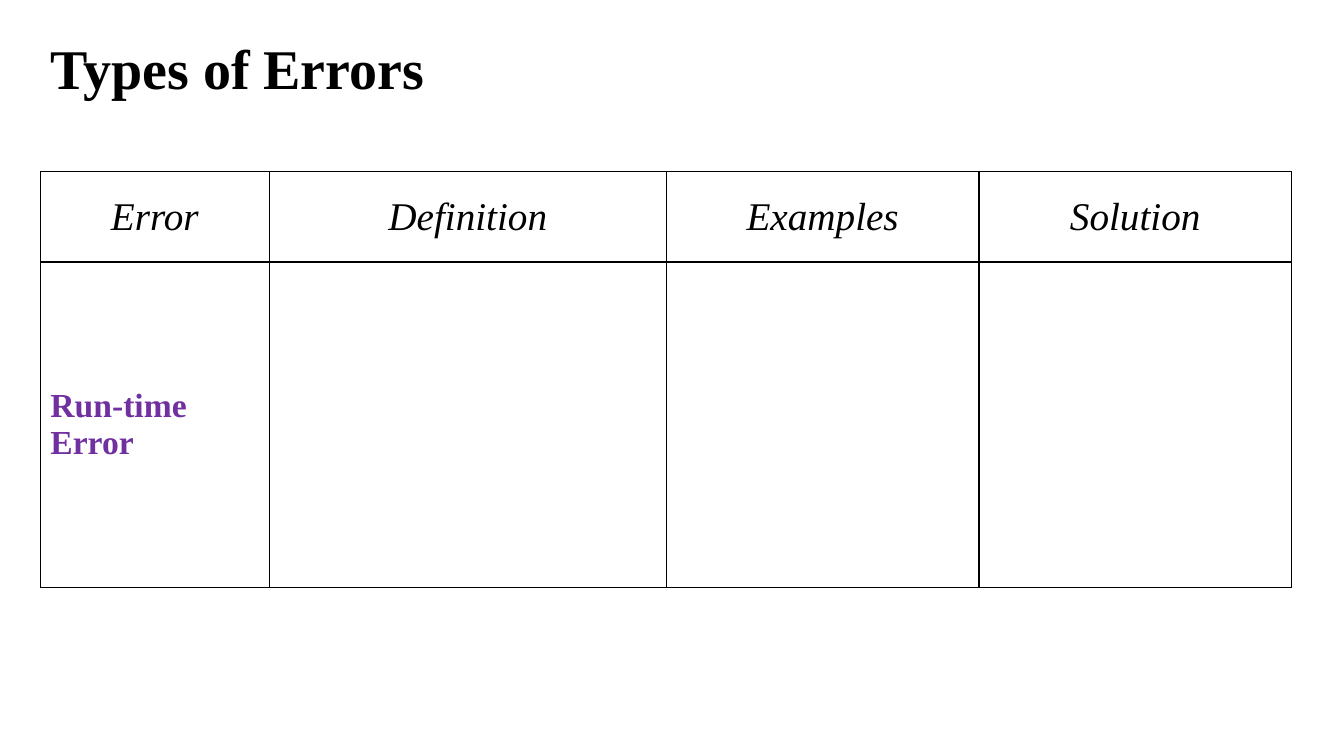
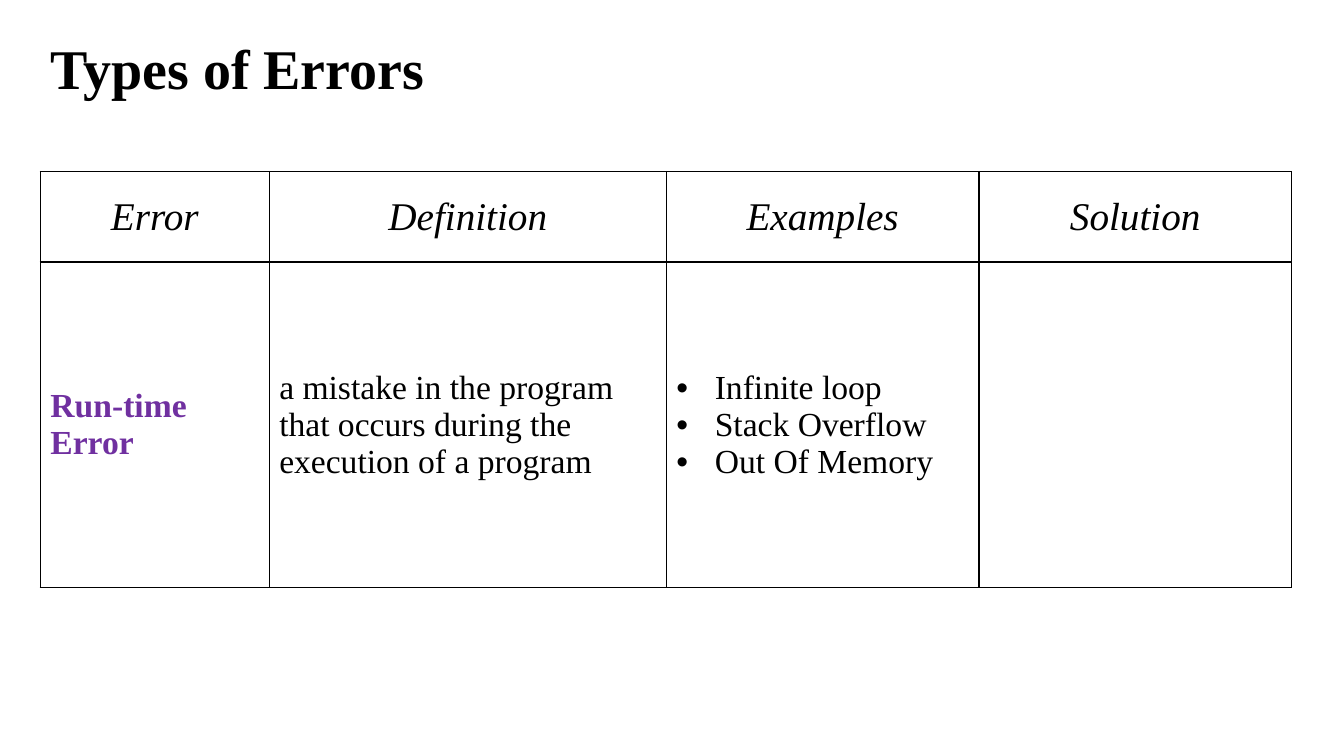
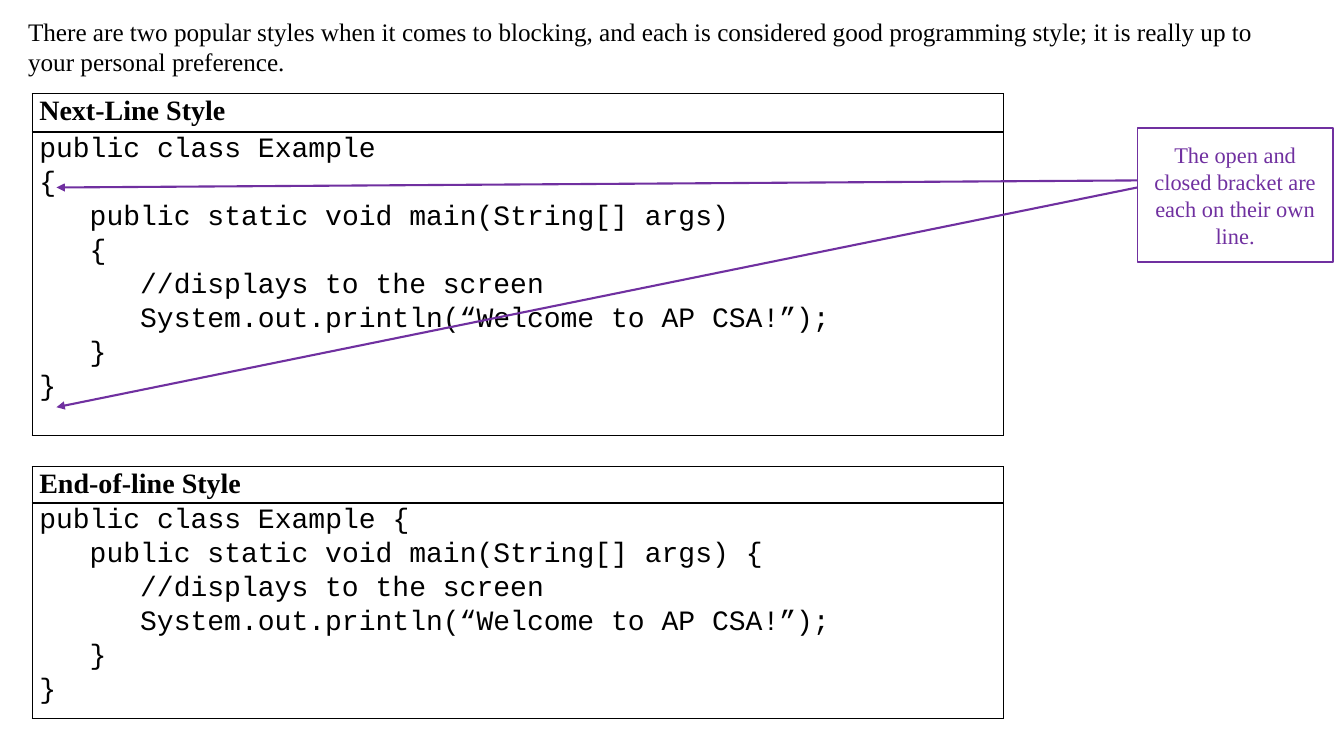
from lxml.etree import SubElement
from pptx import Presentation
from pptx.dml.color import RGBColor
from pptx.enum.shapes import MSO_CONNECTOR, MSO_SHAPE
from pptx.enum.text import MSO_ANCHOR, MSO_AUTO_SIZE, PP_ALIGN
from pptx.oxml.ns import qn
from pptx.util import Inches, Pt

# Shared style
BLACK, PURPLE = "000000", "7030A0"
SERIF, MONO = "Times New Roman", "Courier New"
INDENT = 0.5

# Shared content
HEADERS = ["Error", "Definition", "Examples", "Solution"]
DEFINITION = "a mistake in the program that occurs during the execution of a program"
EXAMPLES = ["Infinite loop", "Stack Overflow", "Out Of Memory"]

# Code lines as (indent level, text)
BODY = [(2, "//displays to the screen"),
        (2, "System.out.println(“Welcome to AP CSA!”);"),
        (1, "}"), (0, "}")]
NEXT_LINE = [(0, "public class Example"), (0, "{"),
             (1, "public static void main(String[] args)"), (1, "{")] + BODY
END_OF_LINE = [(0, "public class Example {"),
               (1, "public static void main(String[] args) {")] + BODY


def rgb(value):
    return RGBColor.from_string(value)


def write(tf, lines, size, color=BLACK, font=SERIF, bold=False, italic=False,
          align=PP_ALIGN.LEFT, spacing=None):
    tf.text = "\n".join(lines)
    for p in tf.paragraphs:
        p.alignment = align
        if spacing:
            p.line_spacing = spacing
        for r in p.runs:
            r.font.name, r.font.size = font, Pt(size)
            r.font.bold, r.font.italic = bold, italic
            r.font.color.rgb = rgb(color)


def set_indent(p, left, first=0):
    pPr = p._p.get_or_add_pPr()
    pPr.set("marL", str(Inches(left)))
    pPr.set("indent", str(Inches(first)))
    return pPr


def add_bullets(tf):
    for p in tf.paragraphs:
        pPr = set_indent(p, 0.38, -0.38)
        SubElement(pPr, qn("a:buFont"), typeface="Arial")
        SubElement(pPr, qn("a:buChar"), char="•")


def add_text(s, x, y, w, h, text, size, bold=False):
    tf = s.shapes.add_textbox(Inches(x), Inches(y), Inches(w), Inches(h)).text_frame
    tf.word_wrap = True
    tf.auto_size = MSO_AUTO_SIZE.SHAPE_TO_FIT_TEXT
    write(tf, [text], size, bold=bold)


def add_grid(s, x, y, widths, heights):
    """Unfilled table with thin black borders on every cell."""
    table = s.shapes.add_table(len(heights), len(widths), Inches(x), Inches(y),
                               Inches(sum(widths)), Inches(sum(heights))).table
    table.first_row = table.horz_banding = False
    for col, w in zip(table.columns, widths):
        col.width = Inches(w)
    for row, h in zip(table.rows, heights):
        row.height = Inches(h)
    for cell in table.iter_cells():
        tcPr = cell._tc.get_or_add_tcPr()
        for side in ("lnL", "lnR", "lnT", "lnB"):
            ln = SubElement(tcPr, qn(f"a:{side}"), w=str(Pt(1)))
            fill = SubElement(ln, qn("a:solidFill"))
            SubElement(fill, qn("a:srgbClr"), val=BLACK)
        cell.fill.background()
    return table


def add_code_panel(s, y, heights, heading, code):
    table = add_grid(s, 0.32, y, [9.63], heights)
    for cell in table.iter_cells():
        cell.margin_left = cell.margin_right = Inches(0.07)
        cell.margin_top = cell.margin_bottom = 0
    write(table.cell(0, 0).text_frame, [heading], 20, bold=True, spacing=1.07)
    tf = table.cell(1, 0).text_frame
    write(tf, [text for _, text in code], 20, font=MONO, spacing=1.07)
    for p, (level, _) in zip(tf.paragraphs, code):
        set_indent(p, level * INDENT)


def add_arrow(s, x1, y1, x2, y2):
    c = s.shapes.add_connector(MSO_CONNECTOR.STRAIGHT, Inches(x1), Inches(y1),
                               Inches(x2), Inches(y2))
    c.line.color.rgb = rgb(PURPLE)
    c.line.width = Pt(1.5)
    SubElement(c.line._get_or_add_ln(), qn("a:tailEnd"), type="triangle")
    SubElement(c._element.spPr, qn("a:effectLst"))


def add_callout(s, x, y, w, h, text):
    sp = s.shapes.add_shape(MSO_SHAPE.RECTANGLE, Inches(x), Inches(y),
                            Inches(w), Inches(h))
    sp.shadow.inherit = False
    sp.fill.background()
    sp.line.color.rgb = rgb(PURPLE)
    sp.line.width = Pt(1)
    tf = sp.text_frame
    tf.word_wrap = True
    tf.vertical_anchor = MSO_ANCHOR.MIDDLE
    write(tf, [text], 16, PURPLE, align=PP_ALIGN.CENTER)


def add_errors_slide(prs, answered):
    s = prs.slides.add_slide(prs.slide_layouts[6])
    add_text(s, 0.4, 0.28, 6.67, 0.77, "Types of Errors", 40, bold=True)
    table = add_grid(s, 0.4, 1.7, [2.27, 3.94, 3.1, 3.1], [0.9, 3.23])
    for cell in table.iter_cells():
        cell.vertical_anchor = MSO_ANCHOR.MIDDLE
    for i, header in enumerate(HEADERS):
        write(table.cell(0, i).text_frame, [header], 28, italic=True,
              align=PP_ALIGN.CENTER)
    write(table.cell(1, 0).text_frame, ["Run-time Error"], 24, PURPLE, bold=True)
    if answered:
        write(table.cell(1, 1).text_frame, [DEFINITION], 24)
        examples = table.cell(1, 2).text_frame
        write(examples, EXAMPLES, 24)
        add_bullets(examples)


def add_styles_slide(prs):
    s = prs.slides.add_slide(prs.slide_layouts[6])
    add_code_panel(s, 0.93, [0.38, 3.01], "Next-Line Style", NEXT_LINE)
    add_code_panel(s, 4.63, [0.36, 2.13], "End-of-line Style", END_OF_LINE)
    add_text(s, 0.18, 0.11, 12.77, 0.71,
             "There are two popular styles when it comes to blocking, and each is "
             "considered good programming style; it is really up to your personal "
             "preference.", 18)
    # Arrows from the callout to the outer brackets
    add_arrow(s, 11.28, 1.79, 0.56, 1.86)
    add_arrow(s, 11.28, 1.86, 0.56, 4.04)
    add_callout(s, 11.28, 1.27, 1.94, 1.33,
                "The open and closed bracket are each on their own line.")


def main():
    prs = Presentation()
    prs.slide_width, prs.slide_height = Inches(13.33), Inches(7.5)
    add_errors_slide(prs, answered=False)
    add_errors_slide(prs, answered=True)
    add_styles_slide(prs)
    prs.save("out.pptx")


if __name__ == "__main__":
    main()
